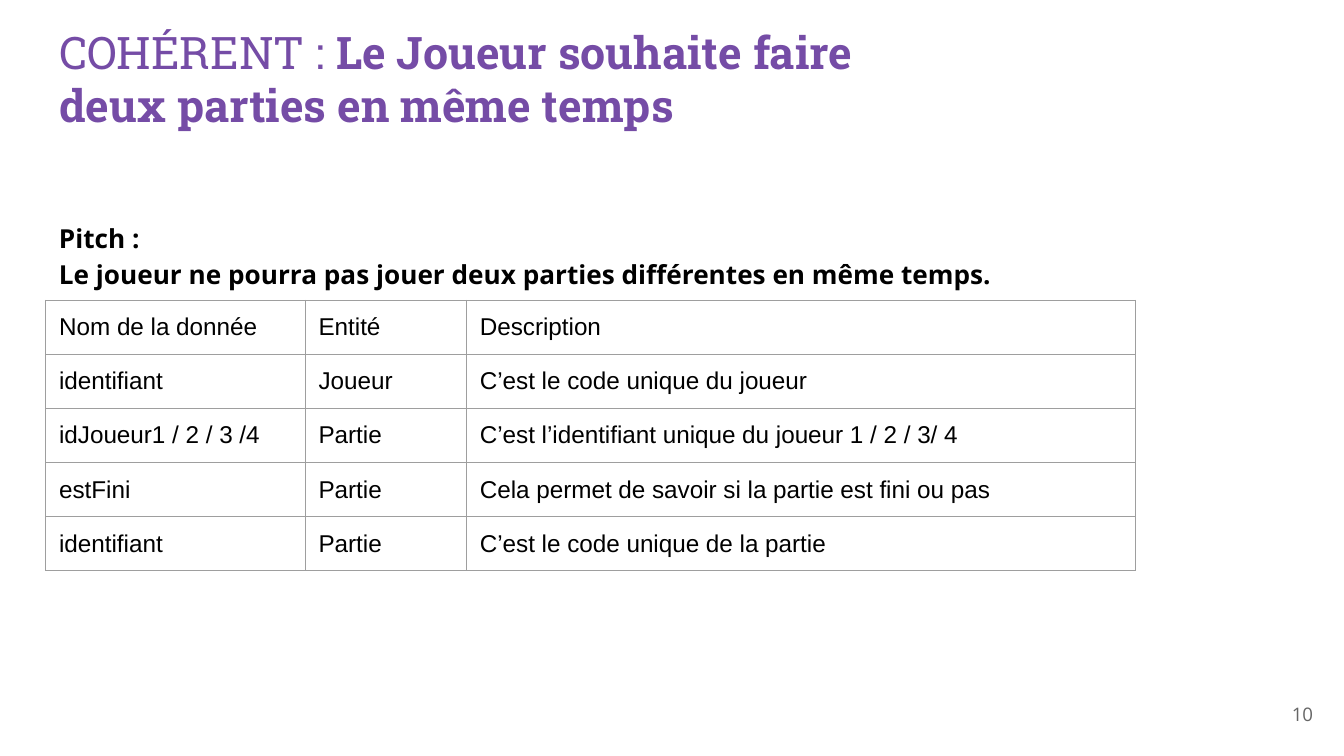
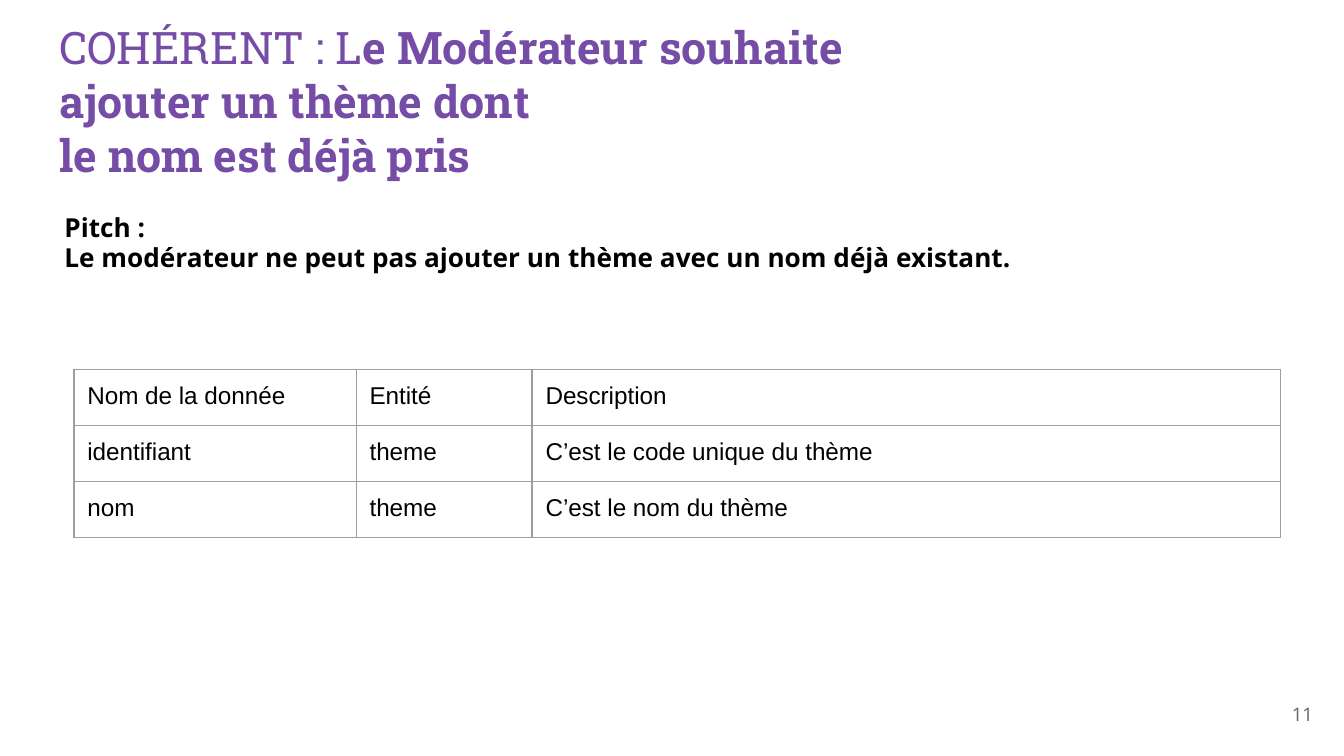
"""Two slides on data coherence rules: a title, a pitch and a data table each."""
from dataclasses import dataclass

from lxml import etree
from pptx import Presentation
from pptx.dml.color import RGBColor
from pptx.enum import text
from pptx.oxml import ns
from pptx.util import Pt


@dataclass(frozen=True)
class Theme:
    """Colours, fonts and type sizes shared by the slides."""
    purple: RGBColor = RGBColor(0x75, 0x4C, 0xA6)
    black: RGBColor = RGBColor(0, 0, 0)
    grey: RGBColor = RGBColor(0x66, 0x66, 0x66)
    border: str = "9E9E9E"
    title_font: str = "Roboto Slab"
    body_font: str = "Open Sans"
    table_font: str = "Arial"
    title_size: int = 24
    pitch_size: int = 14
    table_size: int = 13
    number_size: int = 10
    inset: float = 7.2
    border_width: float = 0.75


THEME = Theme()
HEADER = ("Nom de la donnée", "Entité", "Description")


def set_font(font, name, size, color, bold=None):
    """Set the face, size, colour and weight of a font."""
    font.name, font.size, font.bold = name, Pt(size), bold
    font.color.rgb = color


def set_frame(tf, anchor):
    """Give a text frame wrapping, even insets and an anchor."""
    tf.word_wrap = True
    tf.auto_size = text.MSO_AUTO_SIZE.NONE
    tf.vertical_anchor = anchor
    tf.margin_left = tf.margin_right = Pt(THEME.inset)
    tf.margin_top = tf.margin_bottom = Pt(THEME.inset)


def add_title(s, box, light, lines):
    """Fill the title: a light lead-in, then bold lines."""
    sp = s.shapes.title
    sp.left, sp.top, sp.width, sp.height = map(Pt, box)
    tf = sp.text_frame
    set_frame(tf, text.MSO_ANCHOR.TOP)
    for i, line in enumerate(lines):
        p = tf.add_paragraph() if i else tf.paragraphs[0]
        p.alignment = text.PP_ALIGN.LEFT
        for words, bold in ((light if i == 0 else "", False), (line, True)):
            if words:
                r = p.add_run()
                r.text = words
                set_font(r.font, THEME.title_font, THEME.title_size,
                         THEME.purple, bold)


def add_text(s, box, lines, size, color, bold=None, spacing=None,
             align=text.PP_ALIGN.LEFT, anchor=text.MSO_ANCHOR.TOP):
    """Add a text box with one paragraph for each line."""
    tf = s.shapes.add_textbox(*map(Pt, box)).text_frame
    set_frame(tf, anchor)
    for i, line in enumerate(lines):
        p = tf.add_paragraph() if i else tf.paragraphs[0]
        p.text = line
        p.alignment, p.line_spacing = align, spacing
        set_font(p.font, THEME.body_font, size, color, bold)


def add_pitch(s, box, sentence, spacing):
    """Add the bold pitch under the title."""
    add_text(s, box, ("Pitch :", sentence), THEME.pitch_size, THEME.black,
             True, spacing)


def add_number(s, number):
    """Add the slide number at the bottom right."""
    add_text(s, (667.4, 367.2, 43.2, 31), (str(number),), THEME.number_size,
             THEME.grey, align=text.PP_ALIGN.RIGHT,
             anchor=text.MSO_ANCHOR.MIDDLE)


def set_borders(cell):
    """Draw a thin line on the four sides of a cell."""
    props = cell._tc.get_or_add_tcPr()
    for i, side in enumerate(("lnL", "lnR", "lnT", "lnB")):
        line = etree.Element(ns.qn(f"a:{side}"), w=str(Pt(THEME.border_width)))
        fill = etree.SubElement(line, ns.qn("a:solidFill"))
        etree.SubElement(fill, ns.qn("a:srgbClr"), val=THEME.border)
        props.insert(i, line)


def add_data_table(s, left, top, widths, row_height, records):
    """Add a bordered table with the common header above the records."""
    rows = (HEADER, *records)
    table = s.shapes.add_table(len(rows), len(widths), Pt(left), Pt(top),
                               Pt(sum(widths)),
                               Pt(row_height * len(rows))).table
    table.first_row = table.horz_banding = False
    for column, width in zip(table.columns, widths):
        column.width = Pt(width)
    for row, values in zip(table.rows, rows):
        row.height = Pt(row_height)
        for cell, value in zip(row.cells, values):
            cell.fill.background()
            cell.margin_left = cell.margin_right = Pt(THEME.inset)
            cell.margin_top = cell.margin_bottom = Pt(THEME.inset)
            p = cell.text_frame.paragraphs[0]
            p.text = value
            set_font(p.font, THEME.table_font, THEME.table_size, THEME.black)
            set_borders(cell)


def build_player_slide(prs):
    """A player may not play two games at once."""
    s = prs.slides.add_slide(prs.slide_layouts[5])
    add_title(s, (24.5, 5.8, 496, 97.2), "COHÉRENT : ",
              ("Le Joueur souhaite faire deux parties en même temps",))
    add_pitch(s, (24.5, 109.4, 671, 72),
              "Le joueur ne pourra pas jouer deux parties différentes "
              "en même temps.", 1.15)
    add_number(s, 10)
    add_data_table(s, 24.5, 161, (139, 86.4, 358.5), 28.9, (
        ("identifiant", "Joueur", "C’est le code unique du joueur"),
        ("idJoueur1 / 2 / 3 /4", "Partie",
         "C’est l’identifiant unique du joueur 1 / 2 / 3/ 4"),
        ("estFini", "Partie",
         "Cela permet de savoir si la partie est fini ou pas"),
        ("identifiant", "Partie", "C’est le code unique de la partie"),
    ))


def build_moderator_slide(prs):
    """A moderator may not reuse the name of a theme."""
    s = prs.slides.add_slide(prs.slide_layouts[5])
    add_title(s, (24.5, 3.6, 662.4, 92.2), "COHÉRENT : L",
              ("e Modérateur souhaite", "ajouter un thème dont",
               "le nom est déjà pris"))
    add_pitch(s, (27.4, 107.3, 671, 49),
              "Le modérateur ne peut pas ajouter un thème avec un nom "
              "déjà existant.", 0.95)
    add_number(s, 11)
    add_data_table(s, 39.6, 198, (151.2, 94.3, 401), 30, (
        ("identifiant", "theme", "C’est le code unique du thème"),
        ("nom", "theme", "C’est le nom du thème"),
    ))


def main():
    """Build and save the presentation."""
    prs = Presentation()
    prs.slide_width, prs.slide_height = Pt(720), Pt(405)
    build_player_slide(prs)
    build_moderator_slide(prs)
    prs.save("out.pptx")


if __name__ == "__main__":
    main()
